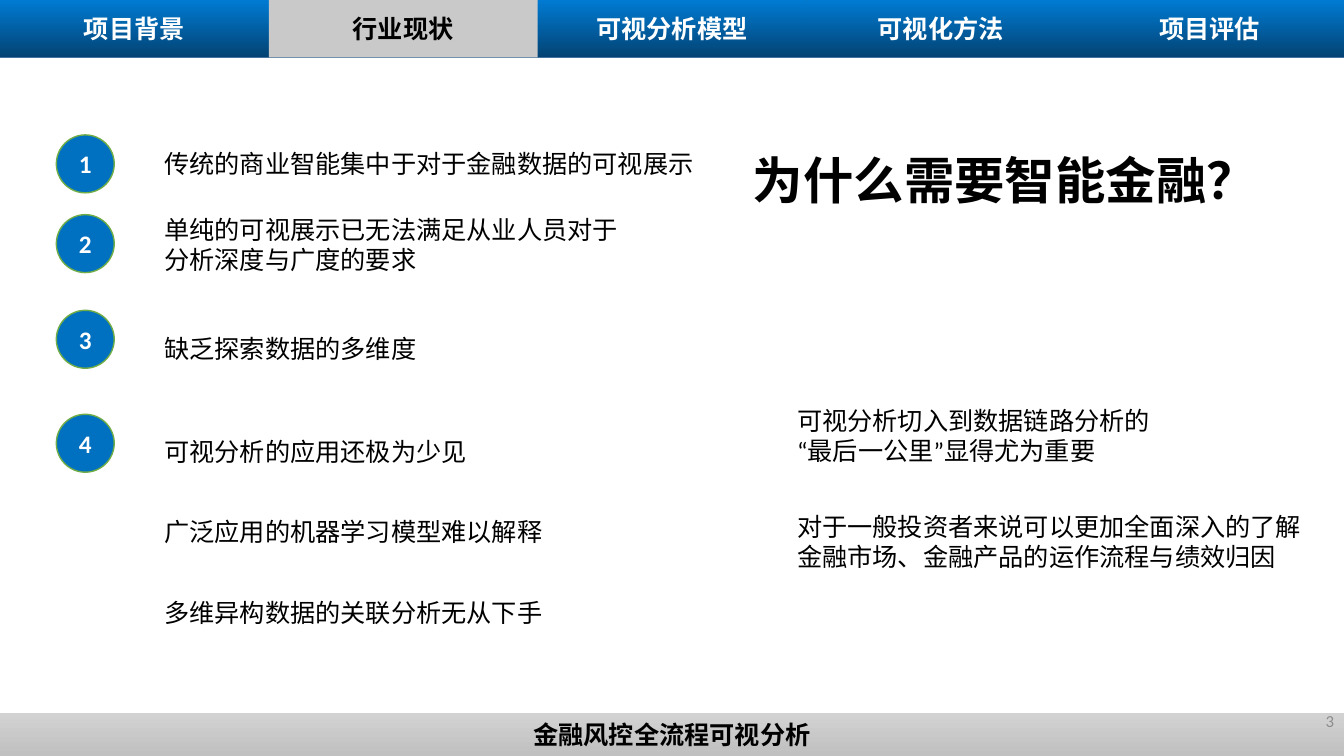
from lxml.etree import SubElement
from pptx import Presentation
from pptx.dml.color import RGBColor
from pptx.enum.shapes import MSO_SHAPE as Kind
from pptx.enum.text import MSO_ANCHOR as Anchor, MSO_AUTO_SIZE as Fit, PP_ALIGN as Align
from pptx.oxml.ns import qn
from pptx.util import Cm, Pt

WIDE, HIGH = 33.87, 19.05
SANS, LATIN = "Noto Sans CJK SC", "Calibri"
BLUES, GREYS = ("007BD3", "034373"), ("D2D2D2", "C0C0C0")
EM = 0.635  # width of one 18 pt Chinese character
PAD = 0.51  # left and right insets together

TABS = ["项目背景", "行业现状", "可视分析模型", "可视化方法", "项目评估"]
ACTIVE = 1
# top of the text, top of its number badge, lines
REASONS = [
    (3.61, 3.4, ["传统的商业智能集中于对于金融数据的可视展示"]),
    (5.26, 5.41, ["单纯的可视展示已无法满足从业人员对于", "分析深度与广度的要求"]),
    (8.26, 7.82, ["缺乏探索数据的多维度"]),
    (10.87, 10.44, ["可视分析的应用还极为少见"]),
    (12.88, None, ["广泛应用的机器学习模型难以解释"]),
    (14.91, None, ["多维异构数据的关联分析无从下手"]),
]
GAINS = [
    (10.08, ["可视分析切入到数据链路分析的", "“最后一公里”显得尤为重要"]),
    (12.75, ["对于一般投资者来说可以更加全面深入的了解", "金融市场、金融产品的运作流程与绩效归因"]),
]


def tint(code):
    return RGBColor.from_string(code)


def write(shape, lines, size=18, font=LATIN, color="000000", bold=False,
          align=Align.LEFT, wrap=False):
    frame = shape.text_frame
    frame.auto_size = Fit.NONE
    frame.word_wrap = wrap
    frame.vertical_anchor = Anchor.MIDDLE
    for i, line in enumerate(lines):
        para = frame.add_paragraph() if i else frame.paragraphs[0]
        para.alignment = align
        run = para.add_run()
        run.text = line
        face = run.font
        face.size, face.bold, face.name = Pt(size), bold, font
        face.color.rgb = tint(color)
        SubElement(face._element, qn("a:ea")).set("typeface", font)


def block(slide, box, kind=Kind.RECTANGLE, fill=None, shade=None, line=None):
    """Add a shape with a flat fill, or a shade running from top to bottom."""
    shape = slide.shapes.add_shape(kind, *map(Cm, box))
    shape.shadow.inherit = False
    if shade:
        shape.fill.gradient()
        shape.fill.gradient_angle = 270
        for stop, code in zip(shape.fill.gradient_stops, shade):
            stop.color.rgb = tint(code)
    else:
        shape.fill.solid()
        shape.fill.fore_color.rgb = tint(fill)
    if line:
        shape.line.color.rgb = tint(line)
        shape.line.width = Pt(1)
    else:
        shape.line.fill.background()
    return shape


def label(slide, box, lines, **style):
    write(slide.shapes.add_textbox(*map(Cm, box)), lines, **style)


def note(slide, left, top, lines):
    """Place lines in a box as wide as the longest and as high as their number."""
    width = EM * max(map(len, lines)) + PAD
    label(slide, (left, top, width, 0.25 + 0.775 * len(lines)), lines)


def menu(slide, box):
    left, top, width, high = box
    block(slide, box, shade=BLUES, line="43739E")
    step = width / len(TABS)
    for i, name in enumerate(TABS):
        here = i == ACTIVE
        tab = block(slide, (left + i * step, top, step, high),
                    fill="C9C9C9", shade=None if here else BLUES)
        write(tab, [name], font=SANS if i <= ACTIVE else LATIN, bold=True,
              color="000000" if here else "FFFFFF", align=Align.CENTER)


def footer(slide, box):
    left, top, width, high = box
    bar = block(slide, box, shade=GREYS)
    write(bar, ["金融风控全流程可视分析"], font=SANS, bold=True, align=Align.CENTER)
    label(slide, (left + width - 7.62, top - 0.33, 7.62, 1.02), ["3"],
          size=12, color="8C8C8C", align=Align.RIGHT, wrap=True)


def heading(slide, box):
    title = slide.shapes.title
    title.left, title.top, title.width, title.height = map(Cm, box)
    write(title, ["为什么需要智能金融？"], size=36, font=SANS, bold=True)


def reasons(slide, left):
    for i, (top, mark, lines) in enumerate(REASONS, 1):
        if mark:
            badge = block(slide, (left, mark, 1.46, 1.46), Kind.OVAL,
                          fill="0070C0", line="70AD47")
            write(badge, [str(i)], color="FFFFFF", bold=True, align=Align.CENTER)
        note(slide, left + 2.47, top, lines)


def gains(slide, left):
    for top, lines in GAINS:
        note(slide, left, top, lines)


def main():
    deck = Presentation()
    deck.slide_width, deck.slide_height = Cm(WIDE), Cm(HIGH)
    slide = deck.slides.add_slide(deck.slide_layouts[5])
    menu(slide, (0, 0, WIDE, 1.45))
    footer(slide, (0, 17.98, WIDE, 1.07))
    heading(slide, (18.72, 3.61, 13.23, 1.8))
    reasons(slide, 1.42)
    gains(slide, 19.84)
    deck.save("out.pptx")


if __name__ == "__main__":
    main()
